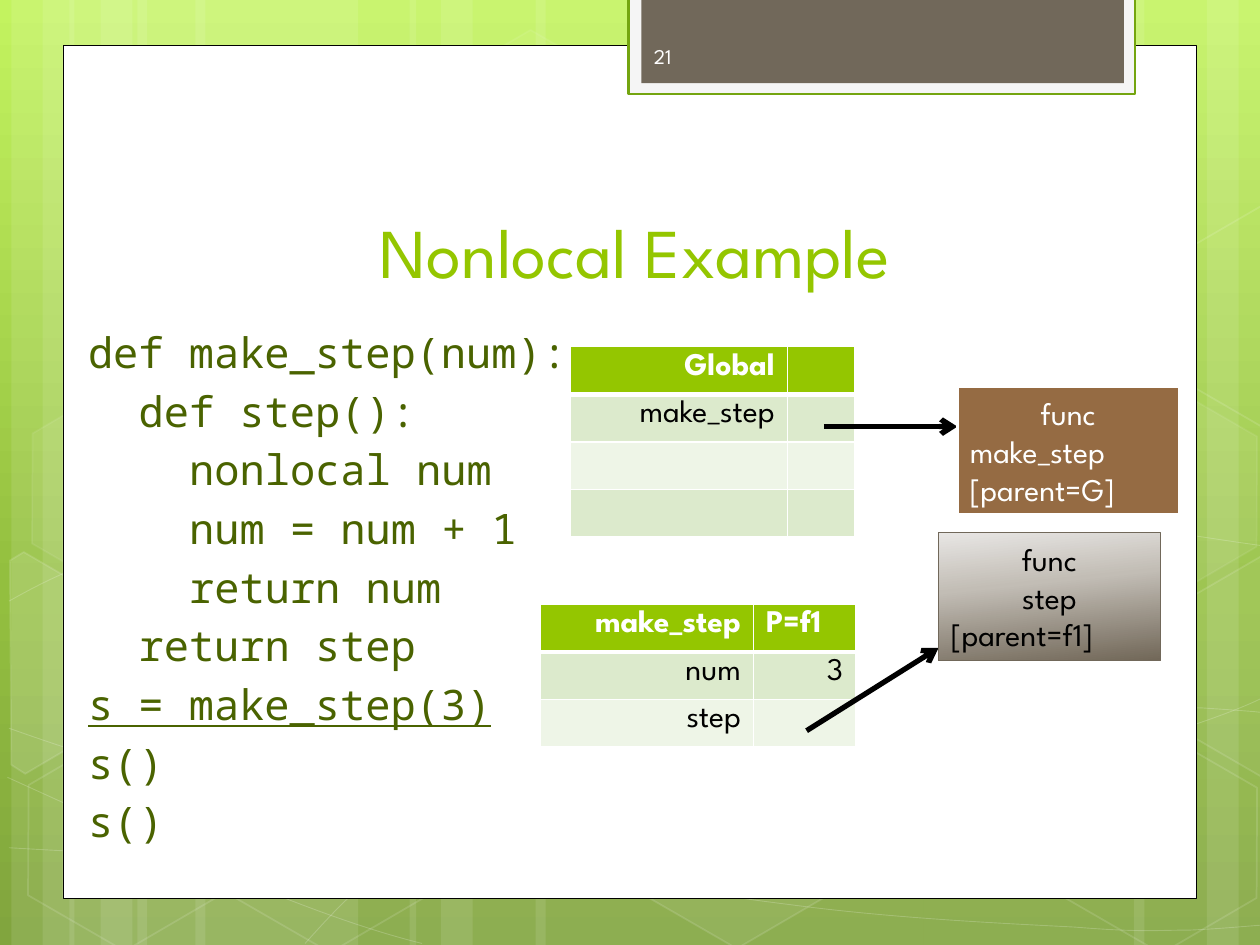
import copy

import lxml.etree
import pptx
import pptx.dml.color
import pptx.enum.shapes
import pptx.enum.text
import pptx.oxml.ns
import pptx.util

Cm = pptx.util.Cm
Pt = pptx.util.Pt
RGBColor = pptx.dml.color.RGBColor
SHAPE = pptx.enum.shapes.MSO_SHAPE
ALIGN = pptx.enum.text.PP_ALIGN
ANCHOR = pptx.enum.text.MSO_ANCHOR
qn = pptx.oxml.ns.qn

WHITE = RGBColor(0xFF, 0xFF, 0xFF)
BLACK = RGBColor(0, 0, 0)
LIME = RGBColor(0x94, 0xC6, 0x00)
DARK_GREEN = RGBColor(0x4A, 0x63, 0x00)
TAB_LINE = RGBColor(0x74, 0xA5, 0x10)
TAB_FRAME = RGBColor(0xF5, 0xF5, 0xF5)
TAUPE = RGBColor(0x71, 0x68, 0x5A)
BROWN = RGBColor(0x95, 0x6B, 0x43)
NUMBER_COLOR = RGBColor(0xFE, 0xFE, 0xFE)
BANDS = [RGBColor(0xEE, 0xF5, 0xE7), RGBColor(0xDC, 0xEA, 0xCC)]
BACKGROUND_STOPS = [(0, RGBColor(0xC3, 0xF3, 0x5F)), (0.62, RGBColor(0x93, 0xBF, 0x3F)),
                    (1, RGBColor(0x81, 0xA5, 0x3E))]
BOX_STOPS = [(0, RGBColor(0xE8, 0xE6, 0xE4)), (0.4, RGBColor(0xC2, 0xBD, 0xB5)),
             (1, RGBColor(0x72, 0x68, 0x59))]


def write(frame, text, size=18, color=BLACK, font="League Spartan", bold=False,
          underline=False, align=ALIGN.LEFT):
    paragraph = frame.paragraphs[0]
    if paragraph.runs:
        paragraph = frame.add_paragraph()
    paragraph.alignment = align
    run = paragraph.add_run()
    run.text = text
    run.font.name = font
    run.font.size = Pt(size)
    run.font.color.rgb = color
    run.font.bold = bold
    run.font.underline = underline
    return paragraph


def style(shape, fill=WHITE, line=WHITE, width=1, fill_opacity=100, line_opacity=100):
    shape.shadow.inherit = False
    shape.line.width = Pt(width)
    opacities = []
    for paint, color, opacity in ((shape.fill, fill, fill_opacity),
                                  (shape.line.fill, line, line_opacity)):
        if opacity == 0:
            paint.background()
            continue
        paint.solid()
        paint.fore_color.rgb = color
        opacities.append(opacity)
    colors = list(shape.element.spPr.iter(qn("a:srgbClr")))
    for color, opacity in zip(colors, opacities):
        if opacity < 100:
            lxml.etree.SubElement(color, qn("a:alpha")).set("val", str(opacity * 1000))


presentation = pptx.Presentation()
presentation.slide_width = Cm(25.4)
presentation.slide_height = Cm(19.05)
slide = presentation.slides.add_slide(presentation.slide_layouts[1])
shapes = slide.shapes
slide.background.fill.gradient()

for left, width in ((2.77, 4.45), (0.23, 1.27), (0.86, 2.11), (3.94, 4.45), (1.4, 1.27),
                    (2.03, 2.11), (18.62, 4.45), (24.33, 1.27), (22.86, 2.11),
                    (10.8, 7.82), (8.26, 1.27), (8.89, 2.11)):
    stripe = shapes.add_shape(SHAPE.RECTANGLE, Cm(left), 0, Cm(width), Cm(19.05))
    style(stripe, fill_opacity=10, line_opacity=0)

curves = [
    [(18, 1709), (155, 1717), (292, 1725), (483, 1722), (673, 1720), (909, 1715),
     (1163, 1689), (1417, 1664), (1778, 1615), (2012, 1567), (2243, 1519), (2482, 1443),
     (2558, 1400)],
    [(18, 1212), (91, 1171), (165, 1133), (307, 1095), (452, 1059), (658, 1001), (881, 983),
     (1107, 965), (1382, 963), (1661, 983), (1941, 1003), (2405, 1082), (2558, 1102)],
    [(15, 1567), (323, 1707), (627, 1847), (851, 1902)],
    [(18, 1468), (97, 1496), (178, 1524), (325, 1565), (472, 1603), (693, 1666),
     (907, 1709), (1118, 1753), (1384, 1798), (1595, 1824), (1806, 1852), (2032, 1862),
     (2167, 1869), (2301, 1880), (2334, 1875), (2400, 1875), (2466, 1872), (2512, 1867),
     (2558, 1864)],
    [(615, 1902), (660, 1852), (706, 1801), (767, 1755), (828, 1707), (914, 1659),
     (986, 1623), (1057, 1588), (1100, 1572), (1191, 1547), (1285, 1521), (1455, 1486),
     (1544, 1468), (1636, 1450), (1648, 1450), (1727, 1445), (1806, 1438), (1930, 1430),
     (2017, 1427), (2106, 1425), (2250, 1427), (2250, 1427), (2250, 1427), (2421, 1427),
     (2421, 1427), (2466, 1430), (2510, 1433), (2532, 1435), (2555, 1438), (2548, 1435),
     (2555, 1438)],
]
for curve in curves:
    builder = shapes.build_freeform(*curve[0], scale=Cm(0.01))
    builder.add_line_segments(curve[1:], close=False)
    arc = builder.convert_to_shape()
    style(arc, width=0.5, fill_opacity=0, line_opacity=20)
    segments = list(arc.element.iter(qn("a:lnTo")))
    outline = segments[0].getparent()
    for start in range(0, len(segments), 3):
        bezier = lxml.etree.SubElement(outline, qn("a:cubicBezTo"))
        for segment in segments[start:start + 3]:
            bezier.append(segment[0])
            outline.remove(segment)

for left, top, fill_opacity, line_opacity in (
        (8.48, 0.91, 4, 8), (12.62, 14.96, 6, 12), (0.28, 15.01, 0, 12), (0.36, 7.92, 7, 8),
        (4.42, 15.04, 0, 12), (19.13, 11.51, 10, 12), (21.18, 15.06, 0, 12),
        (21.18, 7.98, 7, 8)):
    hexagon = shapes.add_shape(SHAPE.HEXAGON, Cm(left), Cm(top), Cm(4.45), Cm(3.86))
    hexagon.rotation = 30
    hexagon.adjustments[0] = 0.285
    style(hexagon, fill_opacity=fill_opacity, line_opacity=line_opacity)

for fill_opacity, corners in (
        (10, [(20, 1130), (48, 1113), (244, 1227), (241, 1448), (51, 1560), (23, 1542)]),
        (4, [(2352, 1232), (2545, 1120), (2563, 1133), (2563, 1557), (2545, 1567), (2352, 1455)]),
        (0, [(2352, 526), (2545, 414), (2565, 427), (2563, 851), (2545, 861), (2352, 749)])):
    builder = shapes.build_freeform(*corners[0], scale=Cm(0.01))
    builder.add_line_segments(corners[1:], close=True)
    style(builder.convert_to_shape(), fill_opacity=fill_opacity, line_opacity=12)

for left, top, width, height, fill, line, line_width, line_opacity in (
        (1.27, 0.91, 22.86, 17.2, WHITE, BLACK, 0.5, 100),
        (12.67, -0.05, 10.21, 1.94, TAB_FRAME, TAB_LINE, 1.25, 100),
        (12.93, -0.05, 9.73, 1.73, TAUPE, TAUPE, 1, 0)):
    panel = shapes.add_shape(SHAPE.RECTANGLE, Cm(left), Cm(top), Cm(width), Cm(height))
    style(panel, fill, line, line_width, line_opacity=line_opacity)

title = shapes.title
body = slide.placeholders[1]
for placeholder, top, height, anchor in ((title, 2.84, 3.18, ANCHOR.BOTTOM),
                                         (body, 6.42, 11.66, ANCHOR.TOP)):
    placeholder.left, placeholder.top = Cm(1.32), Cm(top)
    placeholder.width, placeholder.height = Cm(22.96), Cm(height)
    placeholder.text_frame.vertical_anchor = anchor
    placeholder.text_frame.auto_size = pptx.enum.text.MSO_AUTO_SIZE.NONE
    placeholder.element.getparent().append(placeholder.element)
write(title.text_frame, "Nonlocal Example", size=40, color=LIME, align=ALIGN.CENTER)

body.text_frame.margin_top = 0
for depth, code in ((0, "def make_step(num):"), (1, "def step():"), (2, "nonlocal num"),
                    (2, "num = num + 1"), (2, "return num"), (1, "return step"),
                    (0, "s = make_step(3)"), (0, "s()"), (0, "s()")):
    paragraph = write(body.text_frame, code, size=24, color=DARK_GREEN,
                      font="Noto Sans Mono", underline=code.startswith("s ="))
    paragraph.space_before = Pt(0)
    paragraph.line_spacing = Pt(33.5)
    properties = paragraph._p.get_or_add_pPr()
    properties.set("marL", str(Cm(0.2 + 1.02 * depth)))
    properties.set("indent", "0")
    lxml.etree.SubElement(properties, qn("a:buNone"))

number = shapes.add_textbox(Cm(12.93), Cm(0.63), Cm(3.71), Cm(1.02))
number.text_frame.word_wrap = True
number.text_frame.vertical_anchor = ANCHOR.MIDDLE
write(number.text_frame, "21", size=12, color=NUMBER_COLOR)

for left, top, widths, rows in (
        (11.5, 6.99, (4.37, 1.37), [("Global", ""), ("make_step", ""), ("", ""), ("", "")]),
        (10.9, 12.18, (4.29, 2.06), [("make_step", "P=f1"), ("num", "3"), ("step", "")])):
    table = shapes.add_table(len(rows), 2, Cm(left), Cm(top), Cm(sum(widths)),
                             Cm(0.96 * len(rows))).table
    for column, width in zip(table.columns, widths):
        column.width = Cm(width)
    for row_index, row in enumerate(rows):
        for column_index, text in enumerate(row):
            cell = table.cell(row_index, column_index)
            header = row_index == 0
            cell.margin_bottom = 0
            cell.fill.solid()
            cell.fill.fore_color.rgb = LIME if header else BANDS[row_index % 2]
            for index, side in enumerate(("a:lnL", "a:lnR", "a:lnT", "a:lnB")):
                thick = (header and side == "a:lnB") or (row_index == 1 and side == "a:lnT")
                border = lxml.etree.Element(qn(side), w=str(Pt(3 if thick else 1)))
                paint = lxml.etree.SubElement(border, qn("a:solidFill"))
                lxml.etree.SubElement(paint, qn("a:srgbClr")).set("val", str(WHITE))
                cell._tc.tcPr.insert(index, border)
            if text:
                write(cell.text_frame, text, color=WHITE if header else BLACK, bold=header,
                      align=ALIGN.LEFT if header and column_index else ALIGN.RIGHT)

for left, top, color, line, line_width, lines, ends in (
        (19.3, 7.8, WHITE, WHITE, 1.75, ("func", "make_step", "[parent=G]"),
         (16.61, 8.6, 19.3, 8.6)),
        (18.92, 10.74, BLACK, TAUPE, 0.75, ("func", "step", "[parent=f1]"),
         (16.26, 14.73, 18.92, 13.06))):
    arrow = shapes.add_connector(pptx.enum.shapes.MSO_CONNECTOR.STRAIGHT, *map(Cm, ends))
    arrow.line.color.rgb = BLACK
    arrow.line.width = Pt(3)
    line_element = arrow.element.spPr.find(qn("a:ln"))
    lxml.etree.SubElement(line_element, qn("a:tailEnd")).set("type", "arrow")
    lxml.etree.SubElement(arrow.element.spPr, qn("a:effectLst"))
    box = shapes.add_shape(SHAPE.RECTANGLE, Cm(left), Cm(top), Cm(4.47), Cm(2.57))
    style(box, BROWN, line, line_width)
    for text in lines:
        write(box.text_frame, text, color=color,
              align=ALIGN.CENTER if text in ("func", "step") else ALIGN.LEFT)
box.fill.gradient()

for gradient in list(slide.element.iter(qn("a:gsLst"))):
    gradient.append(copy.deepcopy(gradient[-1]))
for fill, angle, stops in ((slide.background.fill, 270, BACKGROUND_STOPS),
                           (box.fill, 276, BOX_STOPS)):
    fill.gradient_angle = angle
    for stop, (position, color) in zip(fill.gradient_stops, stops):
        stop.position = position
        stop.color.rgb = color

presentation.save("out.pptx")
